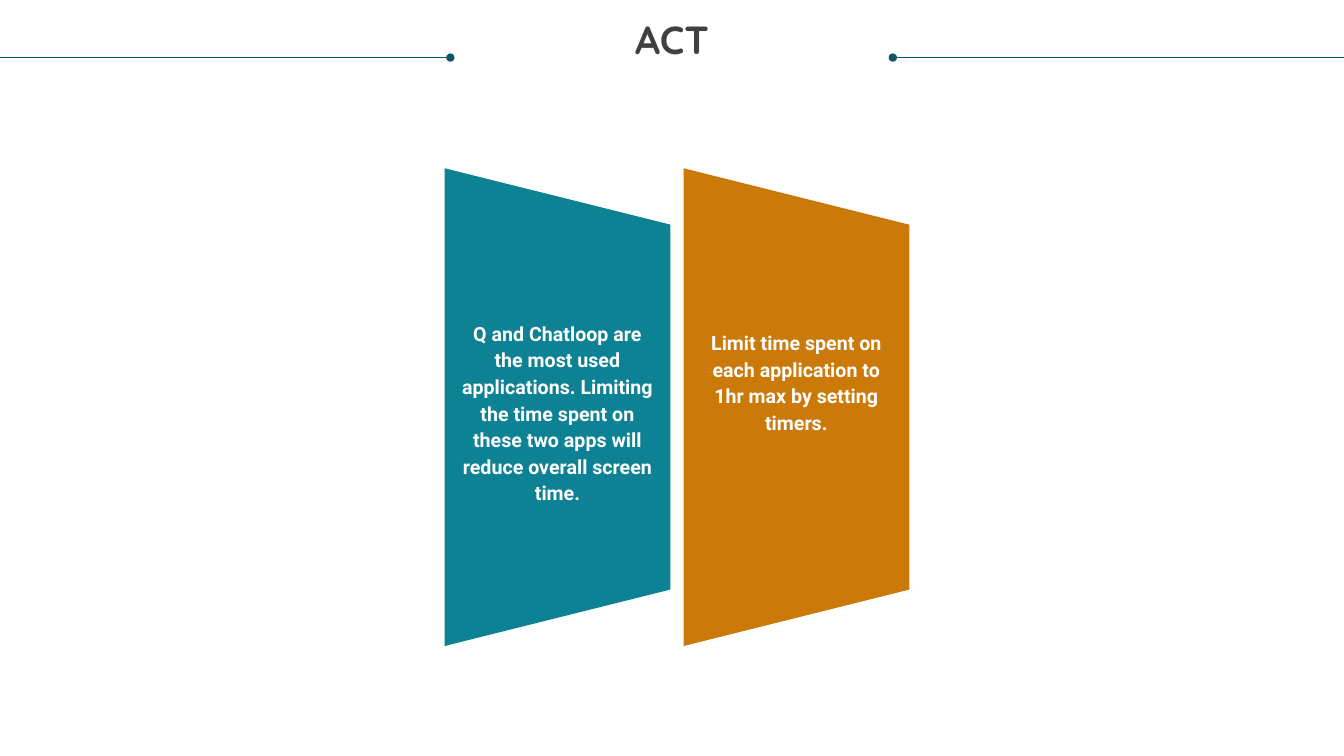
from dataclasses import dataclass

from lxml.etree import SubElement
from pptx import Presentation
from pptx.dml.color import RGBColor
from pptx.enum.shapes import MSO_CONNECTOR, MSO_SHAPE
from pptx.enum.text import MSO_AUTO_SIZE, PP_ALIGN
from pptx.oxml.ns import qn
from pptx.slide import Slide
from pptx.util import Cm, Pt

LINE = MSO_CONNECTOR.STRAIGHT
TRAP = MSO_SHAPE.TRAPEZOID
GROW = MSO_AUTO_SIZE.SHAPE_TO_FIT_TEXT
CENTER = PP_ALIGN.CENTER

# Lengths in centimetres
WIDTH, HEIGHT = 33.87, 19.05
RULE_Y = 1.45
PANEL_X, PANEL_Y, PITCH = 14.05, 10.26, 6.02
LONG, SHORT = 12.04, 5.69
TEXT_W = 4.88


@dataclass
class Panel:
    fill: str
    text: str
    top: float
    height: float


@dataclass
class Rule:
    dot: float
    edge: float


@dataclass
class Style:
    font: str
    size: int
    color: str
    space: float | Pt


PANELS = [
    Panel("0D8295", "Q and Chatloop are the most used applications. Limiting "
          "the time spent on these two apps will reduce overall screen time.",
          8.03, 4.67),
    Panel("CB7A09", "Limit time spent on each application to 1hr max by "
          "setting timers.", 8.26, 1.98),
]
RULES = [Rule(11.35, 0), Rule(22.5, WIDTH)]
TITLE = Style("Quicksand", 28, "404040", 0.9)
BODY = Style("Roboto", 14, "FFFFFF", Pt(19))


def color(code: str) -> RGBColor:
    return RGBColor.from_string(code)


def add_text(slide: Slide, text: str, left: float, top: float,
             width: float, height: float, style: Style) -> None:
    box = slide.shapes.add_textbox(Cm(left), Cm(top), Cm(width), Cm(height))
    frame = box.text_frame
    frame.word_wrap = True
    frame.auto_size = GROW
    frame.margin_left = frame.margin_right = 0
    frame.margin_top = frame.margin_bottom = 0
    para = frame.paragraphs[0]
    para.alignment = CENTER
    para.line_spacing = style.space
    run = para.add_run()
    run.text = text
    run.font.name = style.font
    run.font.size = Pt(style.size)
    run.font.bold = True
    run.font.color.rgb = color(style.color)


def add_rule(slide: Slide, rule: Rule) -> None:
    line = slide.shapes.add_connector(
        LINE, Cm(rule.dot), Cm(RULE_Y), Cm(rule.edge), Cm(RULE_Y))
    line.line.color.rgb = color("085764")
    line.line.width = Pt(0.5)
    props = line._element.spPr
    SubElement(props.find(qn("a:ln")), qn("a:headEnd"), type="oval")
    SubElement(props, qn("a:effectLst"))


def add_panel(slide: Slide, panel: Panel, mid: float) -> None:
    shape = slide.shapes.add_shape(
        TRAP, Cm(mid - LONG / 2), Cm(PANEL_Y - SHORT / 2), Cm(LONG), Cm(SHORT))
    shape.rotation = 90
    shape.shadow.inherit = False
    shape.fill.solid()
    shape.fill.fore_color.rgb = color(panel.fill)
    shape.line.fill.background()
    add_text(slide, panel.text, mid - TEXT_W / 2, panel.top,
             TEXT_W, panel.height, BODY)


def main() -> None:
    deck = Presentation()
    deck.slide_width, deck.slide_height = Cm(WIDTH), Cm(HEIGHT)
    slide = deck.slides.add_slide(deck.slide_layouts[6])

    # Title between two dotted rules
    for rule in RULES:
        add_rule(slide, rule)
    add_text(slide, "ACT", 0.64, 0.53, 32.59, 1.07, TITLE)

    # Action panels
    for index, panel in enumerate(PANELS):
        add_panel(slide, panel, PANEL_X + index * PITCH)

    deck.save("out.pptx")


if __name__ == "__main__":
    main()
